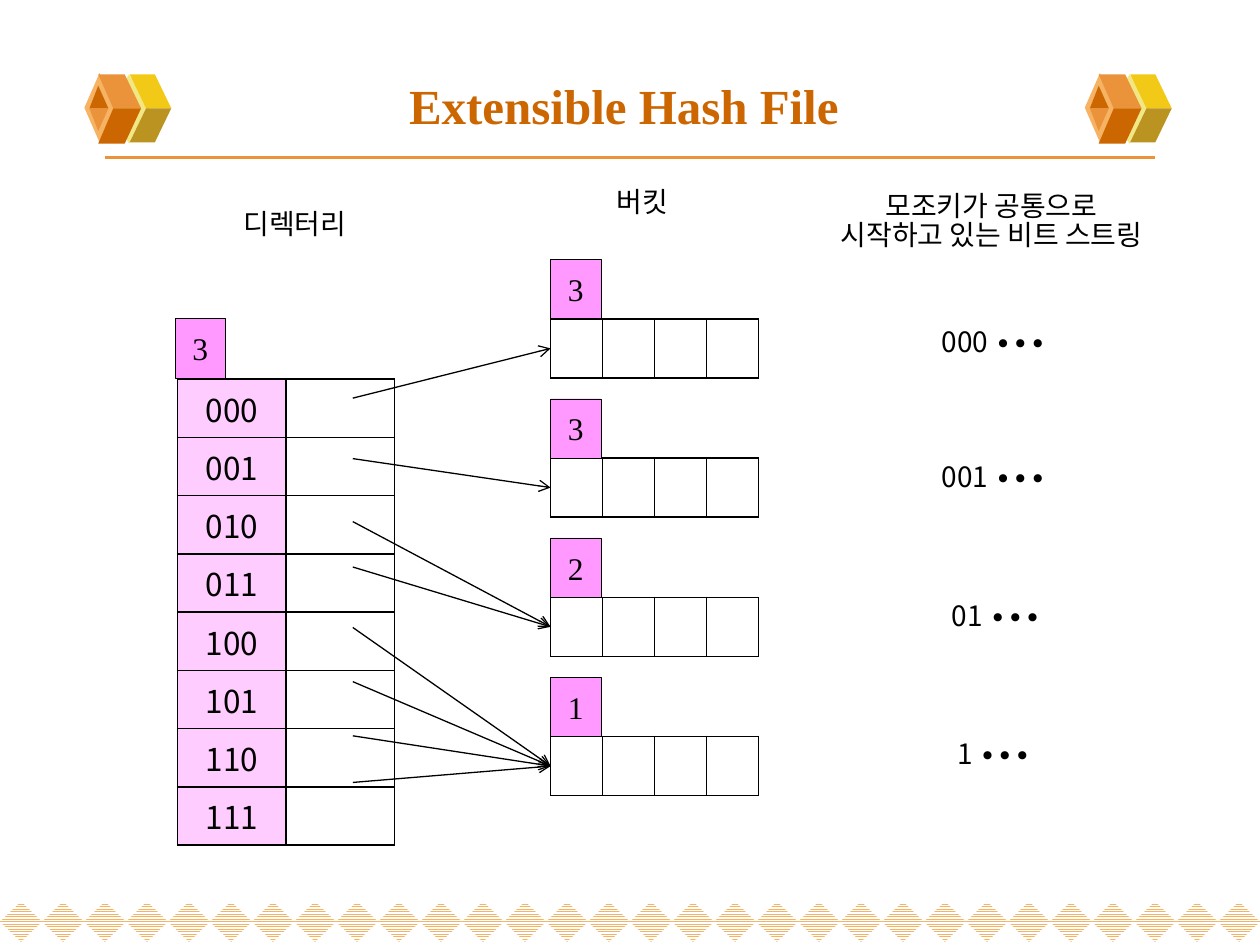
from pptx import Presentation
from pptx.dml.color import RGBColor
from pptx.enum.dml import MSO_PATTERN
from pptx.enum.shapes import MSO_CONNECTOR, MSO_SHAPE
from pptx.enum.text import MSO_ANCHOR, MSO_AUTO_SIZE, PP_ALIGN
from pptx.oxml.ns import qn
from pptx.util import Inches, Pt
from lxml import etree

RECT, DIAMOND = MSO_SHAPE.RECTANGLE, MSO_SHAPE.DIAMOND
LINE = MSO_CONNECTOR.STRAIGHT
STRIPES = MSO_PATTERN.NARROW_HORIZONTAL
CENTER, MIDDLE = PP_ALIGN.CENTER, MSO_ANCHOR.MIDDLE
GROW = MSO_AUTO_SIZE.SHAPE_TO_FIT_TEXT

SERIF, SANS, KOREAN = "Times New Roman", "Arial", "Noto Sans CJK KR"
COLORS = {
    "black": "000000", "white": "FFFFFF", "rust": "CC6600",
    "orange": "EB933B", "peach": "F5B363", "cream": "F1E785",
    "yellow": "F3C917", "olive": "BB9321",
    "pink": "FF99FF", "pale": "FFCCFF",
}

# Corner points of the cube, measured from its left edge and the slide top
FACES = [
    ("yellow", [(0.49, 0.86), (0.69, 0.86), (0.56, 0.59), (0.36, 0.59)]),
    ("olive", [(0.49, 0.86), (0.69, 0.86), (0.56, 1.13), (0.36, 1.13)]),
    ("orange", [(0.23, 0.86), (0.45, 0.86), (0.32, 0.59), (0.11, 0.59)]),
    ("rust", [(0.23, 0.86), (0.45, 0.86), (0.32, 1.14), (0.11, 1.14)]),
    ("rust", [(0.11, 0.68), (0.04, 0.86), (0.19, 0.86)]),
    ("orange", [(0.11, 1.04), (0.04, 0.86), (0.19, 0.86)]),
]

KEYS = [f"{n:03b}" for n in range(8)]
# Local depth, shared prefix, and left and top of the prefix label
BUCKETS = [("3", "000", 7.14, 2.57), ("3", "001", 7.14, 3.64),
           ("2", "01", 7.16, 4.74), ("1", "1", 7.14, 5.84)]
# Start height of each pointer and the bucket it leads to
LINKS = [(3.16, 0), (3.64, 1), (4.14, 2), (4.5, 2),
         (4.98, 3), (5.41, 3), (5.84, 3), (6.21, 3)]
BUCKET_X, BUCKET_Y, PITCH, BOX_H = 4.37, 2.53, 1.105, 0.47


def rgb(name):
    return RGBColor.from_string(COLORS[name])


def box(*lengths):
    return [Inches(n) for n in lengths]


def write(frame, text, size=16, font=KOREAN, color="black", bold=False,
          space=None):
    para = frame.paragraphs[0]
    para.alignment = CENTER
    if space:
        para.line_spacing = space
    run = para.add_run()
    run.text = text
    run.font.size = Pt(size)
    run.font.name = font
    run.font.bold = bold
    run.font.color.rgb = rgb(color)
    east = etree.SubElement(run.font._element, qn("a:ea"))
    east.set("typeface", font)


def paint(shape, color):
    shape.shadow.inherit = False
    shape.fill.solid()
    shape.fill.fore_color.rgb = rgb(color)
    shape.line.fill.background()


def add_gem(slide, place, color):
    gem = slide.shapes.add_shape(DIAMOND, *box(*place))
    paint(gem, color)
    return gem


def add_face(slide, points, color):
    first, *rest = [box(*p) for p in points]
    build = slide.shapes.build_freeform(*first)
    build.add_line_segments(rest, close=True)
    paint(build.convert_to_shape(), color)


def add_cube(slide, left):
    add_gem(slide, (left + 0.19, 0.59, 0.33, 0.55), "cream")
    for i, (color, points) in enumerate(FACES):
        if i == 2:
            add_gem(slide, (left, 0.58, 0.24, 0.55), "peach")
        add_face(slide, [(left + x, y) for x, y in points], color)


def add_border(slide, count=30):
    """Row of striped diamonds along the foot of the slide."""
    step = 10 / count
    for i in range(count):
        gem = add_gem(slide, (i * step, 7.155, step, 0.32), "peach")
        gem.fill.patterned()
        gem.fill.pattern = STRIPES
        gem.fill.fore_color.rgb = rgb("peach")
        gem.fill.back_color.rgb = rgb("white")


def add_line(slide, ends, color="black", width=0.75, arrow=False):
    link = slide.shapes.add_connector(LINE, *box(*ends))
    link.line.color.rgb = rgb(color)
    link.line.width = Pt(width)
    props = link._element.spPr
    if arrow:
        etree.SubElement(props.find(qn("a:ln")), qn("a:tailEnd"), type="arrow")
    etree.SubElement(props, qn("a:effectLst"))


def add_edges(cell):
    props = cell._tc.get_or_add_tcPr()
    for i, side in enumerate(("lnL", "lnR", "lnT", "lnB")):
        edge = etree.Element(qn(f"a:{side}"), w=str(Pt(1)))
        fill = etree.SubElement(edge, qn("a:solidFill"))
        etree.SubElement(fill, qn("a:srgbClr"), val=COLORS["black"])
        props.insert(i, edge)


def add_grid(slide, place, rows, cols):
    grid = slide.shapes.add_table(rows, cols, *box(*place)).table
    grid.first_row = grid.horz_banding = False
    for cell in grid.iter_cells():
        cell.fill.solid()
        cell.fill.fore_color.rgb = rgb("white")
        add_edges(cell)
    return grid


def add_depth(slide, left, top, text):
    tag = slide.shapes.add_shape(RECT, *box(left, top, 0.4, BOX_H))
    paint(tag, "pink")
    tag.line.color.rgb = rgb("black")
    tag.line.width = Pt(0.25)
    tag.text_frame.vertical_anchor = MIDDLE
    write(tag.text_frame, text, size=18, font=SERIF)


def add_label(slide, left, top, text, width=1.5, height=0.37, **fmt):
    frame = slide.shapes.add_textbox(*box(left, top, width, height)).text_frame
    frame.word_wrap = True
    frame.auto_size = GROW
    write(frame, text, **fmt)


def add_title(slide, text):
    title = slide.shapes.title
    title.left, title.top, title.width, title.height = box(0.5, 0.45, 9, 0.76)
    title.text_frame.vertical_anchor = MIDDLE
    write(title.text_frame, text, size=28, font=SERIF, color="rust", bold=True)


def add_directory(slide):
    grid = add_grid(slide, (1.41, 3.01, 1.72, 3.46), len(KEYS), 2)
    for i, key in enumerate(KEYS):
        cell = grid.cell(i, 0)
        cell.fill.fore_color.rgb = rgb("pale")
        write(cell.text_frame, key, size=18)
    add_depth(slide, 1.39, 2.53, "3")


def add_buckets(slide):
    for i, (depth, bits, left, top) in enumerate(BUCKETS):
        y = BUCKET_Y + i * PITCH
        add_grid(slide, (BUCKET_X, y, 1.65, BOX_H), 1, 4)
        add_depth(slide, BUCKET_X, y - BOX_H, depth)
        add_label(slide, left, top, f"{bits} ∙∙∙", space=0.85)


def main():
    deck = Presentation()
    deck.slide_width, deck.slide_height = box(10, 7.5)
    slide = deck.slides.add_slide(deck.slide_layouts[5])
    add_border(slide)
    add_line(slide, (0.83, 1.25, 9.17, 1.25), color="orange", width=2.25)
    for left in (0.67, 8.61):
        add_cube(slide, left)
    add_title(slide, "Extensible Hash File ")
    add_directory(slide)
    add_buckets(slide)
    add_label(slide, 1.59, 1.59, "디렉터리", font=SANS)
    add_label(slide, 4.35, 1.46, "버킷", space=0.85)
    add_label(slide, 6.57, 1.49, "모조키가 공통으로 시작하고 있는 비트 스트링",
              width=2.6, height=0.64, space=0.85)
    for start, i in LINKS:
        end = BUCKET_Y + i * PITCH + BOX_H / 2
        add_line(slide, (2.8, start, BUCKET_X, end), arrow=True)
    deck.save("out.pptx")


if __name__ == "__main__":
    main()
